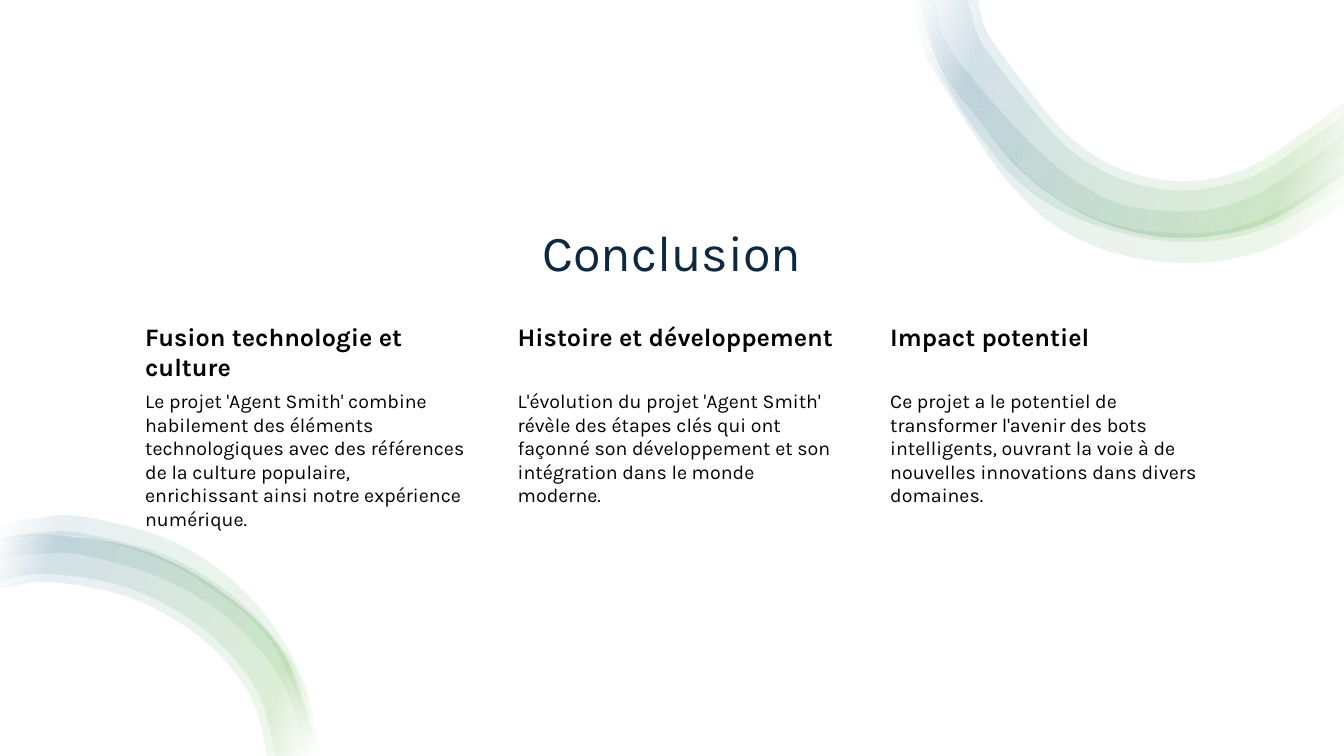
from pptx import Presentation
from pptx import util as u
from pptx.dml.color import RGBColor
from pptx.enum import shapes, text
from pptx.oxml import parse_xml

FONT = "Karla"
NAVY = RGBColor(0x0E, 0x28, 0x41)
BLACK = RGBColor(0, 0, 0)
WHITE = RGBColor(255, 255, 255)
GREEN = RGBColor(0x4E, 0xA7, 0x2E)
BLUE = RGBColor(0x15, 0x60, 0x82)
NS = "http://schemas.openxmlformats.org/drawingml/2006/main"

TITLE = "Conclusion"
COLUMNS = [
    ("Fusion technologie et culture",
     "Le projet 'Agent Smith' combine habilement des éléments technologiques avec des références "
     "de la culture populaire, enrichissant ainsi notre expérience numérique."),
    ("Histoire et développement",
     "L'évolution du projet 'Agent Smith' révèle des étapes clés qui ont façonné son développement "
     "et son intégration dans le monde moderne."),
    ("Impact potentiel",
     "Ce projet a le potentiel de transformer l'avenir des bots intelligents, ouvrant la voie à de "
     "nouvelles innovations dans divers domaines."),
]

STOPS = [(2, WHITE), (16, GREEN), (85, BLUE), (100, WHITE)]
ANGLE = 200
ALPHA = 10

TOP_RIM = [(9.11, 0), (9.33, 0.68), (9.73, 1.22), (10.13, 1.69), (10.6, 2.04),
           (11.15, 2.27), (11.81, 2.35), (12.57, 2.19), (13.33, 1.71)]
LOW_RIM = [(0, 5.36), (0.49, 5.31), (1.41, 5.46), (2.22, 5.89), (2.83, 6.52), (3.16, 7.5)]

TOP_WAVE = [
    ([(9.1, 0), (9.2, 0.49), (9.48, 0.92), (9.81, 1.32), (10.15, 1.7), (10.55, 2.01), (11.01, 2.21),
      (11.5, 2.3), (12.01, 2.3), (12.48, 2.18), (12.93, 1.94), (13.33, 1.65)],
     [(9.07, 0), (9.16, 0.5), (9.42, 0.96), (9.7, 1.39), (10.01, 1.82), (10.41, 2.2), (10.91, 2.46),
      (11.47, 2.59), (12.05, 2.59), (12.61, 2.45), (13.1, 2.18), (13.33, 2.02)]),
    ([(9.27, 0), (9.37, 0.39), (9.64, 0.77), (9.96, 1.14), (10.29, 1.48), (10.64, 1.77), (11.04, 1.99),
      (11.5, 2.08), (11.97, 2.07), (12.41, 1.94), (12.81, 1.7), (13.33, 1.32)],
     [(9.11, 0), (9.19, 0.46), (9.43, 0.91), (9.7, 1.32), (10.02, 1.72), (10.44, 2.04), (10.94, 2.25),
      (11.47, 2.37), (12.02, 2.38), (12.55, 2.25), (13.03, 2.01), (13.33, 1.81)]),
    ([(9.6, 0), (9.71, 0.38), (9.95, 0.72), (10.49, 1.37), (10.88, 1.66), (11.31, 1.83), (11.81, 1.88),
      (12.44, 1.73), (13.08, 1.31), (13.33, 1.13)], TOP_RIM),
    ([(9.7, 0), (9.8, 0.34), (10.21, 0.9), (10.55, 1.3), (10.9, 1.57), (11.32, 1.74), (11.81, 1.79),
      (12.39, 1.65), (13.02, 1.24), (13.33, 1.01)], TOP_RIM),
]
LOW_WAVE = [
    ([(0, 5.85), (0.49, 5.78), (1.28, 5.93), (1.99, 6.33), (2.48, 6.9), (2.65, 7.5)], LOW_RIM),
    ([(0, 5.77), (0.49, 5.7), (1.31, 5.85), (2.05, 6.27), (2.55, 6.86), (2.73, 7.5)], LOW_RIM),
    ([(0, 5.55), (0.39, 5.5), (0.81, 5.51), (1.6, 5.74), (2.3, 6.17), (2.81, 6.79), (3.02, 7.5)],
     [(0, 5.34), (0.38, 5.29), (0.83, 5.3), (1.7, 5.54), (2.44, 6.03), (2.97, 6.72), (3.16, 7.5)]),
    ([(0, 5.36), (0.39, 5.31), (0.83, 5.33), (1.47, 5.5), (2.05, 5.81), (2.7, 6.39), (3.14, 7.5)],
     [(0, 5.21), (0.37, 5.14), (0.86, 5.13), (1.78, 5.4), (2.52, 5.97), (3, 6.74), (3.17, 7.5)]),
]


def curves(knots):
    padded = [knots[0], *knots, knots[-1]]
    return [((b[0] + (c[0] - a[0]) / 6, b[1] + (c[1] - a[1]) / 6),
             (c[0] - (d[0] - b[0]) / 6, c[1] - (d[1] - b[1]) / 6), c)
            for a, b, c, d in zip(padded, padded[1:], padded[2:], padded[3:])]


def bend(sp, segments):
    lines = list(sp.element.iter(f"{{{NS}}}lnTo"))
    for line, segment in zip(lines, segments):
        if segment:
            points = "".join(f'<a:pt x="{u.Inches(x) - sp.left}" y="{u.Inches(y) - sp.top}"/>'
                             for x, y in segment)
            line.getparent().replace(
                line, parse_xml(f'<a:cubicBezTo xmlns:a="{NS}">{points}</a:cubicBezTo>'))


def fill_gradient(sp):
    stops = "".join(
        f'<a:gs pos="{pos * 1000}"><a:srgbClr val="{color}"><a:alpha val="{ALPHA * 1000}"/></a:srgbClr></a:gs>'
        for pos, color in STOPS)
    sp.fill.background()
    blank = sp.element.spPr.find(f"{{{NS}}}noFill")
    blank.getparent().replace(blank, parse_xml(
        f'<a:gradFill xmlns:a="{NS}" rotWithShape="1"><a:gsLst>{stops}</a:gsLst>'
        f'<a:lin ang="{ANGLE * 60000}" scaled="0"/></a:gradFill>'))


def add_wave(s, bands):
    group = s.shapes.add_group_shape()
    for inner, outer in bands:
        back = outer[::-1]
        knots = [(u.Inches(x), u.Inches(y)) for x, y in inner + back]
        builder = group.shapes.build_freeform(*knots[0])
        builder.add_line_segments(knots[1:], close=True)
        sp = builder.convert_to_shape()
        sp.shadow.inherit = False
        sp.line.fill.background()
        fill_gradient(sp)
        bend(sp, curves(inner) + [None] + curves(back))


def add_text(s, content, box, size, color=BLACK, bold=False, align=text.PP_ALIGN.LEFT,
             anchor=text.MSO_ANCHOR.TOP, insets=(0.1, 0.05, 0.1, 0.05), spacing=None):
    tf = s.shapes.add_textbox(*map(u.Inches, box)).text_frame
    tf.word_wrap = True
    tf.vertical_anchor = anchor
    tf.margin_left, tf.margin_top, tf.margin_right, tf.margin_bottom = map(u.Inches, insets)
    p = tf.paragraphs[0]
    p.alignment = align
    p.line_spacing = spacing
    r = p.add_run()
    r.text = content
    r.font.name, r.font.size, r.font.bold = FONT, u.Pt(size), bold
    r.font.color.rgb = color


def main():
    prs = Presentation()
    prs.slide_width, prs.slide_height = u.Inches(13.33), u.Inches(7.5)
    s = prs.slides.add_slide(prs.slide_layouts[6])

    backdrop = s.shapes.add_shape(shapes.MSO_SHAPE.RECTANGLE, 0, 0, prs.slide_width, prs.slide_height)
    backdrop.shadow.inherit = False
    backdrop.fill.solid()
    backdrop.fill.fore_color.rgb = WHITE
    backdrop.line.fill.background()

    left, width, column_width = 1.29, 10.75, 3.36
    add_text(s, TITLE, (left, 1.4, width, 1.45), 36, NAVY, align=text.PP_ALIGN.CENTER,
             anchor=text.MSO_ANCHOR.BOTTOM, spacing=0.9)
    add_wave(s, TOP_WAVE)
    pitch = (width - column_width) / (len(COLUMNS) - 1)
    for i, (heading, body) in enumerate(COLUMNS):
        x = left + i * pitch
        add_text(s, heading, (x, 3.16, column_width, 0.68), 18, bold=True, insets=(0.15, 0.03, 0.03, 0.03))
        add_text(s, body, (x, 3.84, column_width, 2.27), 14, insets=(0.15, 0.02, 0.02, 0.02))
    add_wave(s, LOW_WAVE)
    prs.save("out.pptx")


if __name__ == "__main__":
    main()
